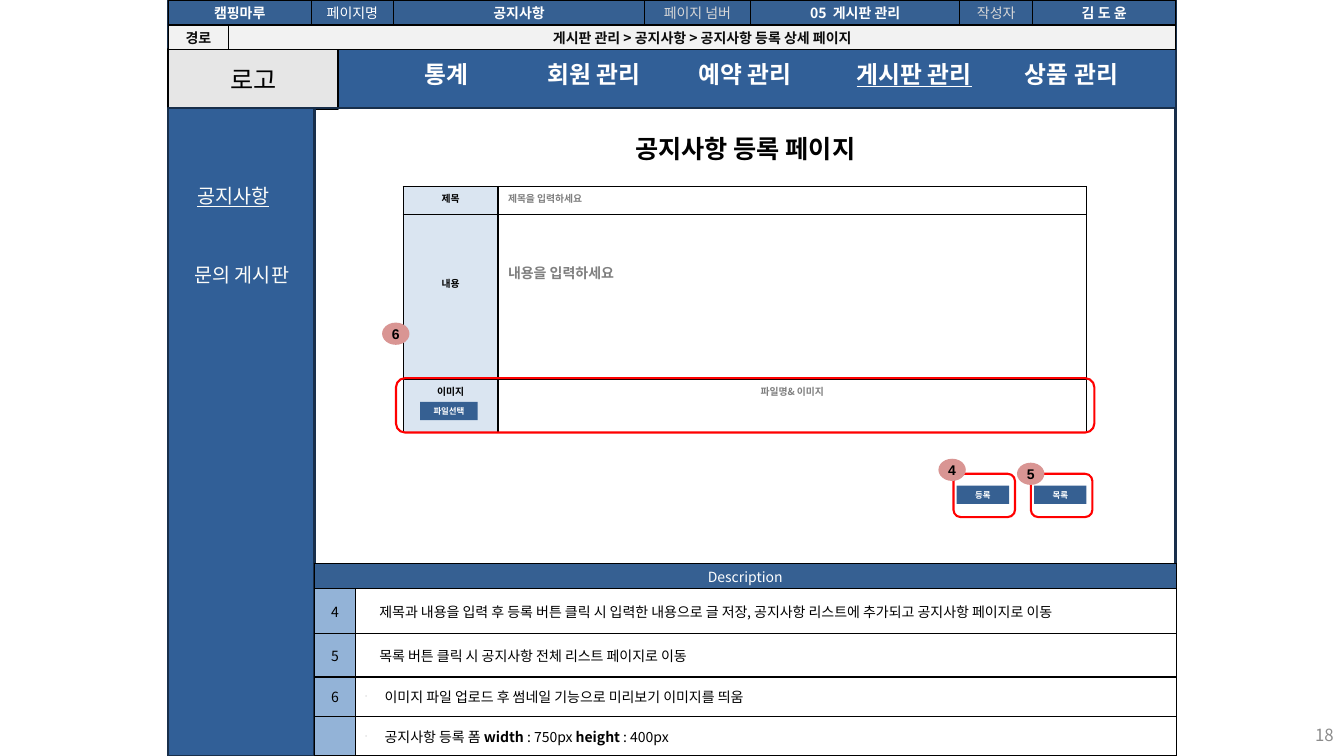
from lxml import etree
from pptx import Presentation
from pptx import util as u
from pptx.dml.color import RGBColor
from pptx.enum import shapes, text
from pptx.oxml import ns

BLUE = RGBColor(0x31, 0x5F, 0x97)
STEEL = RGBColor(0x36, 0x60, 0x92)
NAVY = RGBColor(0x18, 0x2F, 0x4B)
SKY = RGBColor(0x93, 0xB3, 0xD7)
PALE = RGBColor(0xDA, 0xE5, 0xF1)
ROSE = RGBColor(0xD9, 0x95, 0x93)
RED = RGBColor(0xFF, 0x00, 0x00)
BLACK = RGBColor(0x00, 0x00, 0x00)
INK = RGBColor(0x0C, 0x0C, 0x0C)
WHITE = RGBColor(0xFF, 0xFF, 0xFF)
CREAM = RGBColor(0xFC, 0xFC, 0xF9)
SMOKE = RGBColor(0xF2, 0xF2, 0xF2)
MIST = RGBColor(0xE6, 0xE6, 0xE6)
SILVER = RGBColor(0xD8, 0xD8, 0xD8)
GRAY = RGBColor(0x7F, 0x7F, 0x7F)
ASH = RGBColor(0x8C, 0x8C, 0x8C)

KIND = shapes.MSO_SHAPE
LEFT, MID, RIGHT = text.PP_ALIGN.LEFT, text.PP_ALIGN.CENTER, text.PP_ALIGN.RIGHT
TOP, HALF = text.MSO_ANCHOR.TOP, text.MSO_ANCHOR.MIDDLE
NOTO = "Noto Sans CJK KR"


class Page:
    def __init__(self, deck):
        self.items = deck.slides.add_slide(deck.slide_layouts[6]).shapes
        self.look = {"name": NOTO, "size": u.Pt(10), "bold": False}

    def say(self, para, words, color=BLACK, align=LEFT, **look):
        """Add one run; look holds font values that differ from the page style."""
        para.alignment = align
        run = para.add_run()
        run.text = words
        for key, value in {**self.look, **look}.items():
            setattr(run.font, key, value)
        run.font.color.rgb = color
        east = etree.SubElement(run.font._element, ns.qn("a:ea"))
        east.set("typeface", NOTO)

    def shape(self, kind, area, fill=None, line=None, words="", **look):
        item = self.items.add_shape(kind, *map(u.Cm, area))
        item.shadow.inherit = False
        if fill is None:
            item.fill.background()
        else:
            item.fill.solid()
            item.fill.fore_color.rgb = fill
        if line is None:
            item.line.fill.background()
        else:
            item.line.color.rgb = line
            item.line.width = u.Pt(1.5)
        if words:
            frame = item.text_frame
            for side in ("left", "right", "top", "bottom"):
                setattr(frame, "margin_" + side, 0)
            frame.vertical_anchor = HALF
            self.say(frame.paragraphs[0], words, align=MID, **look)

    def label(self, area, words, wrap=False, anchor=TOP, **look):
        frame = self.items.add_textbox(*map(u.Cm, area)).text_frame
        frame.word_wrap = wrap
        frame.vertical_anchor = anchor
        self.say(frame.paragraphs[0], words, **look)

    def button(self, area, words):
        self.shape(KIND.RECTANGLE, area, STEEL, words=words, color=WHITE,
                   name="Arial", size=u.Pt(6), bold=True)

    def badge(self, left, top, words):
        self.shape(KIND.OVAL, (left, top, 0.69, 0.56), ROSE, words=words,
                   name="Arial", bold=True)

    def mark(self, *area):
        """Frame an area in red."""
        self.shape(KIND.ROUNDED_RECTANGLE, area, line=RED)

    def table(self, left, top, cols, rows):
        sizes = map(u.Cm, (left, top, sum(cols), sum(rows)))
        grid = self.items.add_table(len(rows), len(cols), *sizes).table
        grid.first_row = grid.horz_banding = False
        for col, width in zip(grid.columns, cols):
            col.width = u.Cm(width)
        for row, height in zip(grid.rows, rows):
            row.height = u.Cm(height)
        for cell in grid.iter_cells():
            cell.fill.background()
            cell.margin_top = cell.margin_bottom = 0
            self.border(cell)
        return grid

    def border(self, cell):
        for spot, side in enumerate("LRTB"):
            line = etree.Element(ns.qn("a:ln" + side), w=str(u.Pt(1)))
            fill = etree.SubElement(line, ns.qn("a:solidFill"))
            etree.SubElement(fill, ns.qn("a:srgbClr"), val=str(BLACK))
            cell._tc.get_or_add_tcPr().insert(spot, line)

    def cell(self, cell, words="", fill=None, drop=None, **look):
        """Fill a cell; drop is the gap above its text, else it is centred."""
        if fill is not None:
            cell.fill.solid()
            cell.fill.fore_color.rgb = fill
        cell.vertical_anchor = HALF if drop is None else TOP
        cell.margin_top = u.Cm(drop or 0)
        if words:
            self.say(cell.text_frame.paragraphs[0], words, **look)

    def bullet(self, para):
        props = para._p.get_or_add_pPr()
        props.set("marL", str(u.Cm(0.48)))
        props.set("indent", str(-u.Cm(0.48)))
        tint = etree.SubElement(props, ns.qn("a:buClr"))
        etree.SubElement(tint, ns.qn("a:srgbClr"), val=str(BLACK))
        etree.SubElement(props, ns.qn("a:buSzPct"), val="25000")
        etree.SubElement(props, ns.qn("a:buChar"), char="-")


def layout(page):
    for area, fill in (((4.24, 0, 25.4, 19.05), None), ((4.24, 0, 25.4, 2.72), BLUE)):
        page.shape(KIND.RECTANGLE, area, fill, NAVY)
    page.shape(KIND.RECTANGLE, (4.24, 1.24, 4.29, 1.5), MIST, BLACK, "로고", size=u.Pt(18))
    for area, fill in (((4.24, 2.72, 3.7, 16.33), BLUE), ((7.92, 2.72, 21.7, 16.33), None)):
        page.shape(KIND.RECTANGLE, area, fill, NAVY)
    menu = ((10.46, 1.7, "통계"), (13.54, 3, "회원 관리"), (17.35, 3, "예약 관리"),
            (21.34, 3.58, "게시판 관리"), (25.58, 3, "상품 관리"))
    for left, width, words in menu:
        page.label((left, 1.37, width, 0.99), words, color=WHITE, size=u.Pt(17),
                   bold=True, underline=words == "게시판 관리")
    page.label((4.72, 4.5, 2.44, 0.81), "공지사항", color=CREAM, size=u.Pt(14), underline=True)
    page.label((4.65, 6.5, 3.05, 0.86), "문의 게시판", color=CREAM, size=u.Pt(14))
    page.label((15.39, 3.23, 6.78, 0.99), "공지사항 등록 페이지", wrap=True,
               align=MID, size=u.Pt(18), bold=True)
    page.label((25.96, 18.01, 7.9, 1.02), "18", wrap=True, anchor=HALF,
               color=ASH, align=RIGHT, size=u.Pt(12))


def header(page):
    grid = page.table(4.24, 0, (1.52, 2.08, 2.08, 6.32, 2.67, 5.28, 1.83, 3.61), (0.63, 0.61))
    grid.cell(0, 0).merge(grid.cell(0, 1))
    grid.cell(1, 1).merge(grid.cell(1, 7))
    heads = ((0, "캠핑마루", WHITE, True), (2, "페이지명", WHITE, False),
             (3, "공지사항", WHITE, True), (4, "페이지 넘버", SILVER, False),
             (5, "05  게시판 관리", WHITE, True), (6, "작성자", SILVER, False),
             (7, "김 도 윤", WHITE, True))
    for col, words, color, bold in heads:
        page.cell(grid.cell(0, col), words, STEEL, color=color, align=MID, bold=bold)
    for col, words in enumerate(("경로", "게시판 관리 > 공지사항 > 공지사항 등록 상세 페이지")):
        page.cell(grid.cell(1, col), words, SMOKE, color=INK, align=MID, bold=True)


def form(page):
    grid = page.table(10.16, 4.7, (2.39, 14.83), (0.71, 4.14, 1.35))
    rows = (("제목", 0.13, "제목을 입력하세요", 0.13, 7, LEFT),
            ("내용", 1.55, "내용을 입력하세요", 1.2, 10, LEFT),
            ("이미지", 0.13, "파일명& 이미지", 0.13, 7, MID))
    for row, (name, drop, hint, fall, size, align) in enumerate(rows):
        page.cell(grid.cell(row, 0), name, PALE, drop, align=MID, size=u.Pt(7), bold=True)
        page.cell(grid.cell(row, 1), hint, None, fall, color=GRAY, align=align,
                  size=u.Pt(size), bold=True)
    page.button((10.59, 10.13, 1.45, 0.46), "파일선택")
    page.mark(9.98, 9.53, 17.6, 1.37)
    page.badge(9.63, 8.13, "6")
    actions = ((24.03, 23.65, 11.56, "4", "등록"), (25.98, 25.63, 11.66, "5", "목록"))
    for left, side, top, number, words in actions:
        page.mark(left, 11.94, 1.55, 1.09)
        page.badge(side, top, number)
        page.button((left + 0.08, 12.24, 1.32, 0.46), words)


def notes(page):
    grid = page.table(7.92, 14.2, (1.04, 20.68), (0.63, 1.14, 1.09, 1, 0.99))
    grid.cell(0, 0).merge(grid.cell(0, 1))
    page.cell(grid.cell(0, 0), "Description", STEEL, color=WHITE, align=MID)
    rows = (("4", "제목과 내용을 입력 후 등록 버튼 클릭 시 입력한 내용으로 글 저장, "
                  "공지사항 리스트에 추가되고 공지사항 페이지로 이동"),
            ("5", "목록 버튼 클릭 시 공지사항 전체 리스트 페이지로 이동"),
            ("6", "이미지 파일 업로드 후 썸네일 기능으로 미리보기 이미지를 띄움"),
            ("", "공지사항 등록 폼 "))
    for row, (number, words) in enumerate(rows, 1):
        page.cell(grid.cell(row, 0), number, SKY, align=MID)
        body = grid.cell(row, 1)
        page.cell(body, words, WHITE)
        if row > 2:
            page.bullet(body.text_frame.paragraphs[0])
        else:
            body.margin_left = u.Cm(0.6)
    para = grid.cell(4, 1).text_frame.paragraphs[0]
    for words, bold in (("width ", True), (": 750px ", False), ("height ", True), (": 400px", False)):
        page.say(para, words, bold=bold)


def main():
    deck = Presentation()
    deck.slide_width, deck.slide_height = u.Cm(33.87), u.Cm(19.05)
    page = Page(deck)
    for part in (layout, header, notes, form):
        part(page)
    deck.save("out.pptx")


if __name__ == "__main__":
    main()
